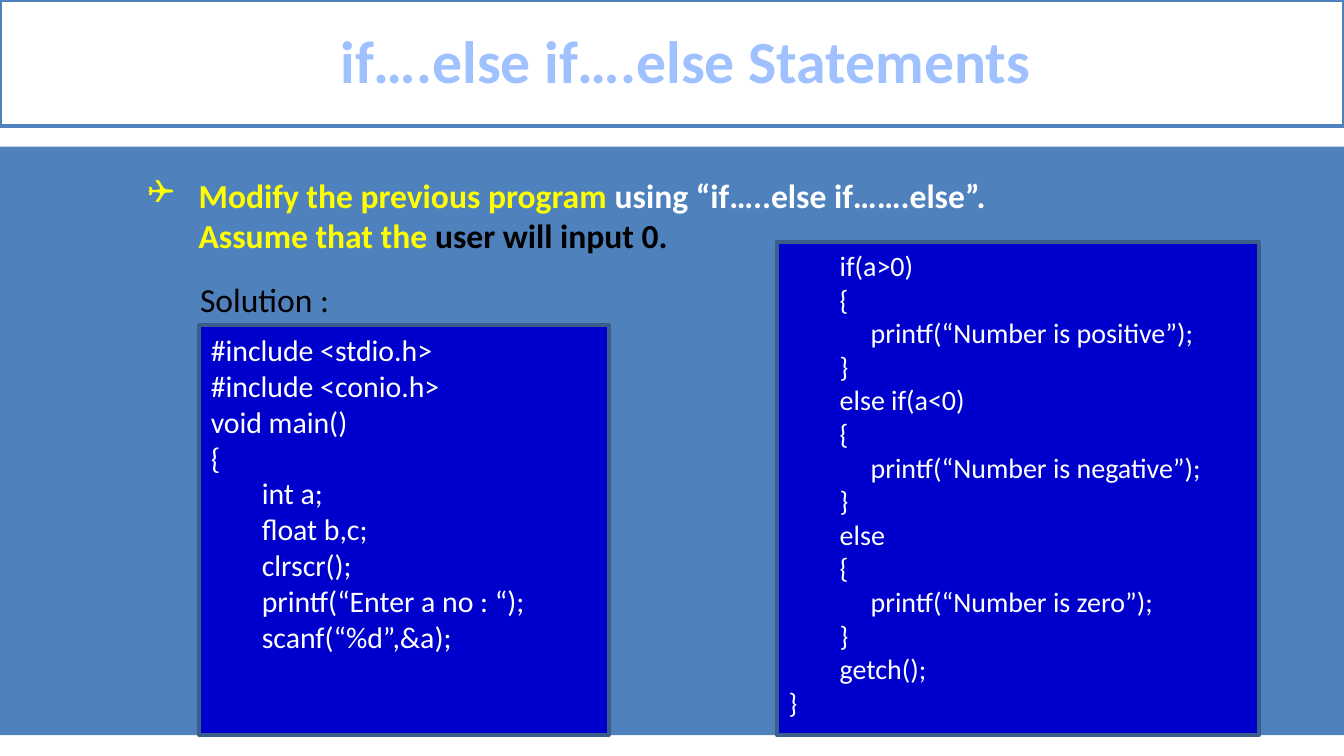
"""Build a slide on if / else if / else statements in C."""
from pptx import Presentation
from pptx.dml.color import RGBColor
from pptx.enum.shapes import MSO_SHAPE
from pptx.enum.text import MSO_ANCHOR, PP_ALIGN
from pptx.oxml.ns import qn
from pptx.util import Inches, Pt

RECT = MSO_SHAPE.RECTANGLE
MIDDLE = MSO_ANCHOR.MIDDLE
TOP = MSO_ANCHOR.TOP
CENTER = PP_ALIGN.CENTER
LEFT = PP_ALIGN.LEFT

COLORS = {
    "white": "FFFFFF", "black": "000000", "yellow": "FFFF00",
    "panel": "4F81BD", "code": "0000CC", "code_edge": "3A5F8C",
    "title": "A0C1FF",
}
FONT = "Calibri"
BULLET_FONT = "Wingdings"
INDENTS = [1, 1.38, 1.61]
HANGING = 0.38

SETUP_CODE = [
    (0, "#include <stdio.h>"),
    (0, "#include <conio.h>"),
    (0, "void main()"),
    (0, "{"),
    (1, "int a;"),
    (1, "float b,c;"),
    (1, "clrscr();"),
    (1, "printf(“Enter a no : “);"),
    (1, "scanf(“%d”,&a);"),
]
BRANCHES = [("if(a>0)", "positive"), ("else if(a<0)", "negative"), ("else", "zero")]
BRANCH_CODE = [
    line
    for test, sign in BRANCHES
    for line in [(1, test), (1, "{"), (2, f"printf(“Number is {sign}”);"), (1, "}")]
] + [(1, "getch();"), (0, "}")]


class Deck:
    """Hold the style and the current slide."""

    def __init__(self, prs):
        self.slide = prs.slides.add_slide(prs.slide_layouts[6])

    def color(self, name):
        return RGBColor.from_string(COLORS[name])

    def box(self, at, fill, line=None):
        sp = self.slide.shapes.add_shape(RECT, *map(Inches, at))
        sp.shadow.inherit = False
        sp.fill.solid()
        sp.fill.fore_color.rgb = self.color(fill)
        if line:
            sp.line.color.rgb = self.color(line)
            sp.line.width = Pt(2)
        else:
            sp.line.fill.background()
        return sp

    def frame(self, sp, anchor=TOP):
        tf = sp.text_frame
        for name, value in {"word_wrap": True, "vertical_anchor": anchor}.items():
            setattr(tf, name, value)
        return tf

    def text_box(self, at):
        return self.frame(self.slide.shapes.add_textbox(*map(Inches, at)))

    def paragraph(self, tf, runs, size, bold=False, indent=0, align=LEFT):
        p = tf.paragraphs[0]
        if p.runs:
            p = tf.add_paragraph()
        p.alignment = align
        p._p.get_or_add_pPr().set("marL", str(Inches(indent)))
        for text, color in runs:
            r = p.add_run()
            r.text = text
            for name, value in {"name": FONT, "size": Pt(size), "bold": bold}.items():
                setattr(r.font, name, value)
            r.font.color.rgb = self.color(color)
        return p

    def bullet(self, p, char):
        pPr = p._p.get_or_add_pPr()
        pPr.set("indent", str(-Inches(HANGING)))
        for tag, attrs in {"a:buFont": {"typeface": BULLET_FONT},
                           "a:buChar": {"char": char}}.items():
            pPr.append(pPr.makeelement(qn(tag), attrs))

    def code(self, box_at, text_at, lines, size):
        self.box(box_at, "code", "code_edge")
        tf = self.text_box(text_at)
        for level, text in lines:
            self.paragraph(tf, [(text, "white")], size, indent=INDENTS[level])


def main():
    prs = Presentation()
    prs.slide_width = Inches(10)
    prs.slide_height = prs.slide_width * 9 // 16
    deck = Deck(prs)

    deck.box((0, 1.09, 10, 4.38), "panel")
    title = deck.frame(deck.box((0, 0, 10, 0.94), "white", "panel"), MIDDLE)
    p = deck.paragraph(title, [("if….else if….else Statements", "title")], 32,
                       bold=True, indent=0.21, align=CENTER)
    p.line_spacing = 0.96

    task = deck.text_box((0, 1.25, 10, 4.04))
    p = deck.paragraph(task, [("Modify the previous program ", "yellow"),
                              ("using “if…..else if…….else”.", "white")],
                       18, bold=True, indent=INDENTS[1])
    deck.bullet(p, "❑")
    deck.paragraph(task, [("Assume that the ", "yellow"),
                          ("user will input 0.", "black")],
                   18, bold=True, indent=INDENTS[1])

    deck.code((1.48, 2.42, 3.05, 3.05), (0.47, 2.42, 4.77, 2.79), SETUP_CODE, 16)
    deck.code((5.78, 1.8, 3.59, 3.67), (4.77, 1.8, 4.53, 3.64), BRANCH_CODE, 15)

    solution = deck.text_box((0.39, 2.03, 2.73, 0.4))
    deck.paragraph(solution, [("Solution :", "black")], 18, indent=INDENTS[0])

    prs.save("out.pptx")


if __name__ == "__main__":
    main()
